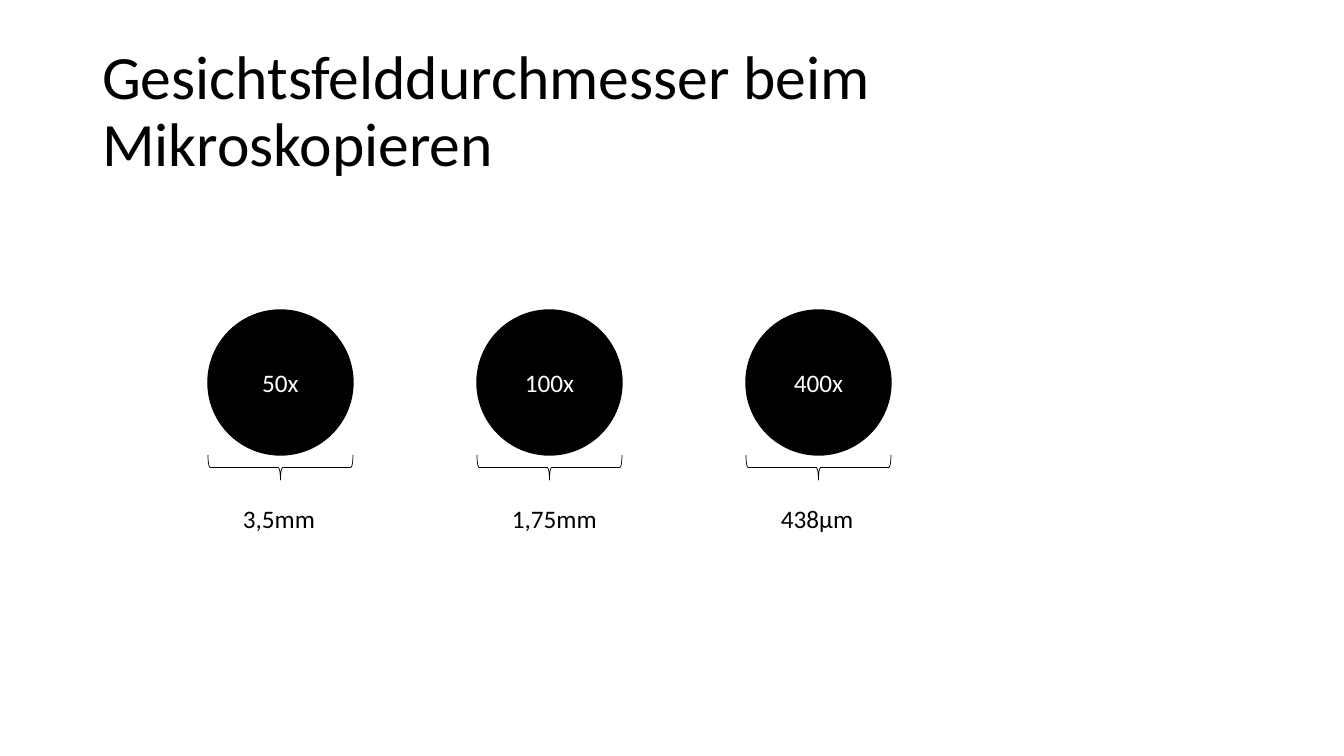
import pptx
import pptx.util
import pptx.dml.color
import pptx.enum.shapes
import pptx.enum.text

PX = 914400 / 100.8
COLORS = {"ink": "000000", "paper": "FFFFFF"}
SHAPE = pptx.enum.shapes.MSO_SHAPE
ALIGN = pptx.enum.text.PP_ALIGN
ANCHOR = pptx.enum.text.MSO_ANCHOR


def box(*sides):
    return [round(side * PX) for side in sides]


def write(frame, text, size, color, align, anchor):
    frame.text = text
    frame.vertical_anchor = anchor
    para = frame.paragraphs[0]
    para.alignment = align
    font = para.runs[0].font
    font.name = "Calibri"
    font.size = pptx.util.Pt(size)
    font.color.rgb = pptx.dml.color.RGBColor.from_string(COLORS[color])


deck = pptx.Presentation()
deck.slide_width, deck.slide_height = box(1344, 756)
slide = deck.slides.add_slide(deck.slide_layouts[5])
ink = pptx.dml.color.RGBColor.from_string(COLORS["ink"])

title = slide.shapes.title
title.left, title.top, title.width, title.height = box(92, 40, 1159, 146)
write(title.text_frame, "Gesichtsfelddurchmesser beim Mikroskopieren",
      44, "ink", ALIGN.LEFT, ANCHOR.MIDDLE)
title.text_frame.auto_size = pptx.enum.text.MSO_AUTO_SIZE.NONE
title.text_frame.paragraphs[0].line_spacing = 0.9

LEFT, TOP, STEP, SIZE, DEPTH = 208, 310, 269, 145, 25
fields = [("50x", "3,5mm", 93), ("100x", "1,75mm", 106), ("400x", "438µm", 94)]

for i, (zoom, span, width) in enumerate(fields):
    left = LEFT + i * STEP
    group = slide.shapes.add_group_shape().shapes

    disc = group.add_shape(SHAPE.OVAL, *box(left, TOP, SIZE, SIZE))
    disc.fill.solid()
    disc.fill.fore_color.rgb = ink
    write(disc.text_frame, zoom, 18, "paper", ALIGN.CENTER, ANCHOR.MIDDLE)

    brace = group.add_shape(SHAPE.LEFT_BRACE, *box(
        left + (SIZE - DEPTH) / 2, TOP + SIZE + (DEPTH - SIZE) / 2, DEPTH, SIZE))
    brace.rotation = 270
    brace.fill.background()

    for shape, weight in ((disc, 1), (brace, 0.5)):
        shape.shadow.inherit = False
        shape.line.color.rgb = ink
        shape.line.width = pptx.util.Pt(weight)

    label = group.add_textbox(*box(left + 25, 498, width, 40))
    write(label.text_frame, span, 18, "ink", ALIGN.LEFT, ANCHOR.TOP)
    label.text_frame.word_wrap = False
    label.text_frame.auto_size = pptx.enum.text.MSO_AUTO_SIZE.SHAPE_TO_FIT_TEXT

deck.save("out.pptx")
